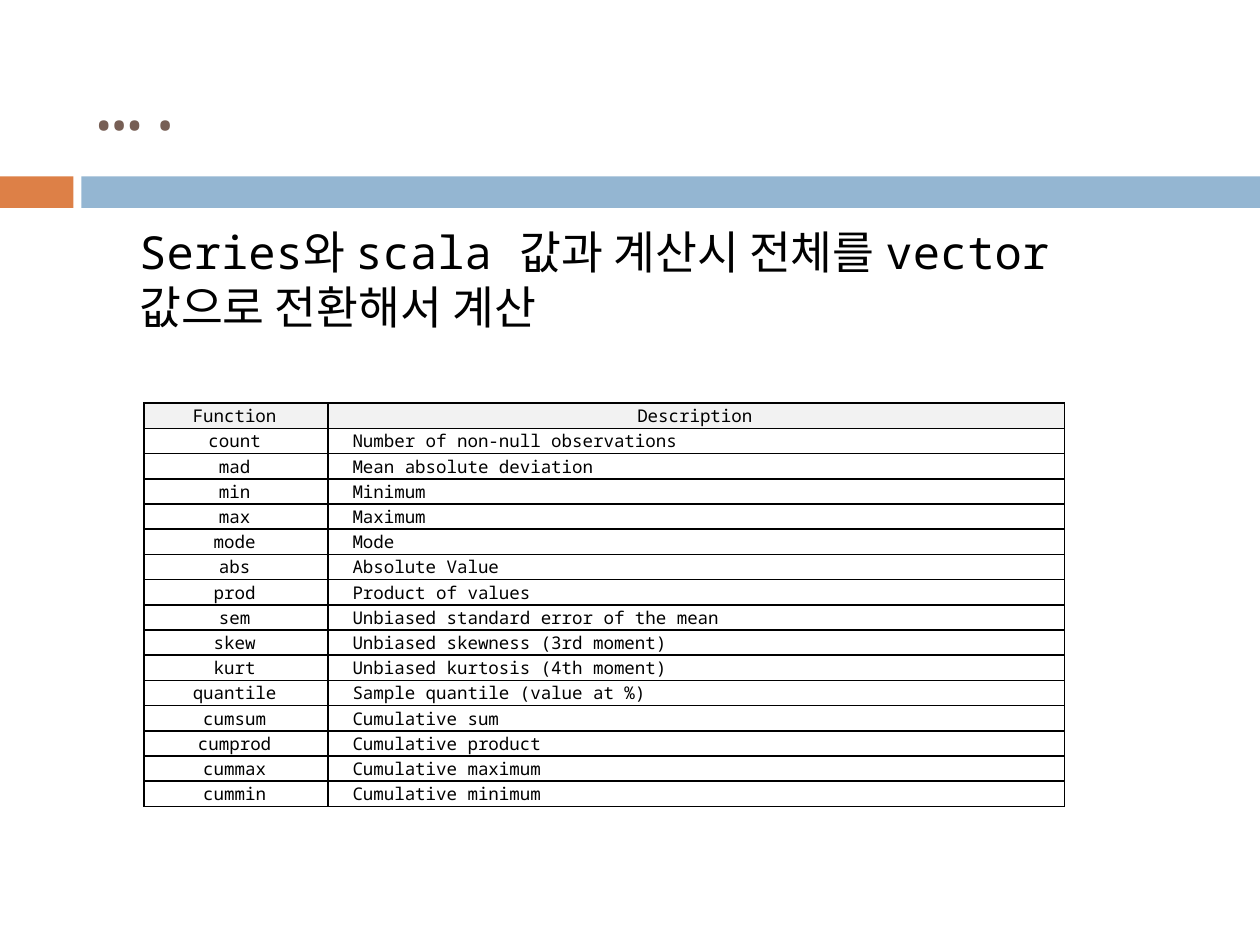
from lxml.etree import SubElement
from pptx import Presentation
from pptx.dml.color import RGBColor
from pptx.enum.shapes import MSO_SHAPE as Shape
from pptx.enum.text import MSO_ANCHOR as Anchor, PP_ALIGN as Align
from pptx.oxml.ns import qn
from pptx.util import Pt

BLACK = RGBColor(0x00, 0x00, 0x00)
BROWN = RGBColor(0x77, 0x5F, 0x55)
ORANGE = RGBColor(0xDD, 0x80, 0x47)
BLUE = RGBColor(0x94, 0xB6, 0xD2)
HEADER_GREY = RGBColor(0xF2, 0xF2, 0xF2)

FUNCTIONS = [
    ("Function", "Description"),
    ("count", "Number of non-null observations"),
    ("mad", "Mean absolute deviation"),
    ("min", "Minimum"),
    ("max", "Maximum"),
    ("mode", "Mode"),
    ("abs", "Absolute Value"),
    ("prod", "Product of values"),
    ("sem", "Unbiased standard error of the mean"),
    ("skew", "Unbiased skewness (3rd moment)"),
    ("kurt", "Unbiased kurtosis (4th moment)"),
    ("quantile", "Sample quantile (value at %)"),
    ("cumsum", "Cumulative sum"),
    ("cumprod", "Cumulative product"),
    ("cummax", "Cumulative maximum"),
    ("cummin", "Cumulative minimum"),
]


def apply_format(target, values):
    for name, value in values.items():
        setattr(target, name, value)


class SlideBuilder:
    font_name = "Noto Sans Mono"

    def __init__(self, slide):
        self.slide = slide

    def fill_paragraph(self, paragraph, words, size, color, align=Align.LEFT):
        paragraph.text = words
        paragraph.alignment = align
        apply_format(paragraph.font, {"name": self.font_name, "size": Pt(size)})
        paragraph.font.color.rgb = color

    def bar(self, left, top, width, height, color):
        bar = self.slide.shapes.add_shape(
            Shape.RECTANGLE, Pt(left), Pt(top), Pt(width), Pt(height))
        bar.shadow.inherit = False
        bar.fill.solid()
        bar.fill.fore_color.rgb = color
        bar.line.fill.background()

    def text(self, left, top, width, height, words, size, color,
             anchor=Anchor.TOP, indent=0):
        frame = self.slide.shapes.add_textbox(
            Pt(left), Pt(top), Pt(width), Pt(height)).text_frame
        apply_format(frame, {"word_wrap": True, "vertical_anchor": anchor})
        paragraph = frame.paragraphs[0]
        if indent:
            paragraph._p.get_or_add_pPr().set("marL", str(Pt(indent)))
        self.fill_paragraph(paragraph, words, size, color)

    def border(self, cell):
        """Draw a 1 pt black line on all four sides of a cell."""
        properties = cell._tc.get_or_add_tcPr()
        for side in ("a:lnL", "a:lnR", "a:lnT", "a:lnB"):
            line = SubElement(properties, qn(side), w=str(Pt(1)))
            fill = SubElement(line, qn("a:solidFill"))
            SubElement(fill, qn("a:srgbClr"), val=str(BLACK))

    def table(self, left, top, column_widths, row_height, rows):
        table = self.slide.shapes.add_table(
            len(rows), len(column_widths), Pt(left), Pt(top),
            Pt(sum(column_widths)), Pt(row_height * len(rows))).table
        for column, width in zip(table.columns, column_widths):
            column.width = Pt(width)
        for r, row in enumerate(rows):
            table.rows[r].height = Pt(row_height)
            for c, words in enumerate(row):
                cell = table.cell(r, c)
                is_header = r == 0
                is_description = c == 1 and not is_header
                apply_format(cell, {
                    "vertical_anchor": Anchor.MIDDLE,
                    "margin_left": Pt(14 if is_description else 2),
                    "margin_right": Pt(3.6),
                    "margin_top": Pt(0.42),
                    "margin_bottom": Pt(0.42),
                })
                self.border(cell)
                if is_header:
                    cell.fill.solid()
                    cell.fill.fore_color.rgb = HEADER_GREY
                else:
                    cell.fill.background()
                self.fill_paragraph(
                    cell.text_frame.paragraphs[0], words, 10, BLACK,
                    Align.LEFT if is_description else Align.CENTER)


def main():
    presentation = Presentation()
    apply_format(presentation, {"slide_width": Pt(720), "slide_height": Pt(540)})
    builder = SlideBuilder(
        presentation.slides.add_slide(presentation.slide_layouts[6]))

    builder.bar(0, 100.8, 42, 18, ORANGE)
    builder.bar(46.5, 100.8, 673.5, 18, BLUE)
    builder.text(48, 18, 642, 78, "….", 44, BROWN, anchor=Anchor.MIDDLE)
    builder.text(36.5, 124.5, 648, 72,
                 "Series와 scala 값과 계산시 전체를 vector 값으로 전환해서 계산",
                 26, BLACK, indent=36)
    builder.table(82.25, 230.4, (105.2, 420.8), 14.4, FUNCTIONS)

    presentation.save("out.pptx")


if __name__ == "__main__":
    main()
